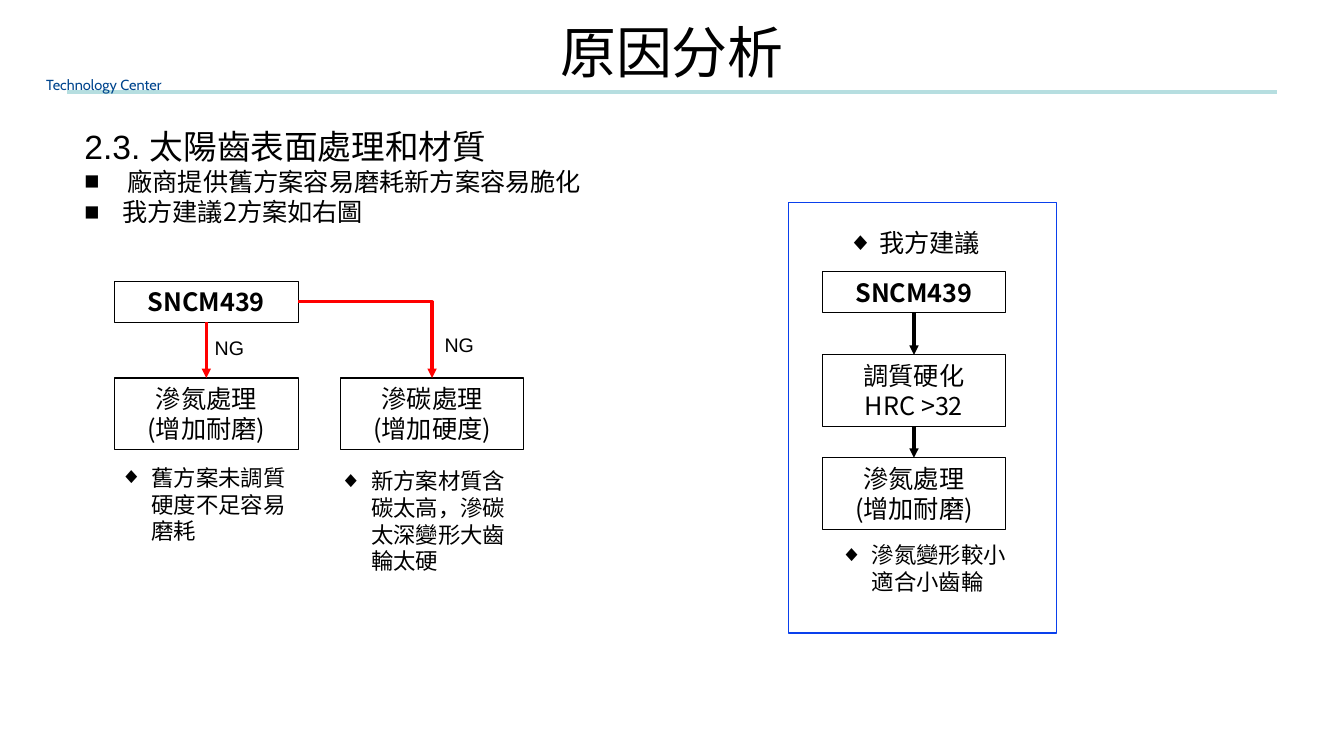
from lxml import etree
from pptx import Presentation
from pptx.dml.color import RGBColor
from pptx.enum.shapes import MSO_CONNECTOR, MSO_SHAPE
from pptx.enum.text import MSO_ANCHOR, PP_ALIGN
from pptx.oxml.ns import qn
from pptx.util import Pt

PX = 9525
BLACK = RGBColor(0x00, 0x00, 0x00)
RED = RGBColor(0xFF, 0x00, 0x00)
BLUE = RGBColor(0x0A, 0x40, 0xEC)
NAVY = RGBColor(0x00, 0x45, 0x8E)
TEAL = RGBColor(0xB6, 0xDE, 0xE0)
CJK = "Noto Sans CJK SC"
ARIAL = "Arial"
CENTER, LEFT = PP_ALIGN.CENTER, PP_ALIGN.LEFT
TOP, MIDDLE = MSO_ANCHOR.TOP, MSO_ANCHOR.MIDDLE
RECT = MSO_SHAPE.RECTANGLE
STRAIGHT, ELBOW = MSO_CONNECTOR.STRAIGHT, MSO_CONNECTOR.ELBOW
SITE_BOTTOM, SITE_RIGHT, SITE_TOP = 2, 3, 0
BOX_W, HEAD_H, STEP_H = 175, 39, 68


def px(*values):
    return [round(v * PX) for v in values]


def style(r, size, font=CJK, color=BLACK, bold=False):
    r.font.size = Pt(size)
    r.font.bold = bold
    r.font.color.rgb = color
    r.font.name = font
    etree.SubElement(r._r.get_or_add_rPr(), qn("a:ea")).set("typeface", font)


def set_bullet(p, char, indent):
    pPr = p._p.get_or_add_pPr()
    pPr.set("marL", str(indent * PX))
    pPr.set("indent", str(-indent * PX))
    etree.SubElement(pPr, qn("a:buFont")).set("typeface", ARIAL)
    etree.SubElement(pPr, qn("a:buChar")).set("char", char)


def write(tf, lines, size, font=CJK, color=BLACK, bold=False, align=LEFT, anchor=TOP):
    tf.word_wrap = True
    tf.vertical_anchor = anchor
    tf.text = "\n".join(lines)
    for p in tf.paragraphs:
        p.alignment = align
        for r in p.runs:
            style(r, size, font, color, bold)


def add_text(slide, box, lines, size, **options):
    tf = slide.shapes.add_textbox(*px(*box)).text_frame
    write(tf, lines, size, **options)
    return tf


def add_note(slide, box, text, size=16):
    tf = add_text(slide, box, [text], size)
    set_bullet(tf.paragraphs[0], "◆", 30)


def add_rect(slide, box, color, width):
    sp = slide.shapes.add_shape(RECT, *px(*box))
    sp.shadow.inherit = False
    sp.fill.background()
    sp.line.color.rgb = color
    sp.line.width = Pt(width)
    return sp


def add_step(slide, x, y, lines):
    head = len(lines) == 1
    sp = add_rect(slide, (x, y, BOX_W, HEAD_H if head else STEP_H), BLACK, 0.75)
    write(sp.text_frame, lines, 18, bold=head, align=CENTER, anchor=MIDDLE)
    return sp


def add_line(slide, kind, ends, color, width):
    cxn = slide.shapes.add_connector(kind, *px(*ends))
    cxn.line.color.rgb = color
    cxn.line.width = Pt(width)
    etree.SubElement(cxn._element.spPr, qn("a:effectLst"))
    return cxn


def add_arrow(slide, start, end, color, kind=STRAIGHT):
    cxn = add_line(slide, kind, (0, 0, 0, 0), color, 2.25)
    cxn.begin_connect(start, SITE_BOTTOM if kind == STRAIGHT else SITE_RIGHT)
    cxn.end_connect(end, SITE_TOP)
    if kind == ELBOW:
        cxn._element.spPr.find(qn("a:prstGeom")).set("prst", "bentConnector2")
    etree.SubElement(cxn.line._get_or_add_ln(), qn("a:tailEnd")).set("type", "triangle")


def header(slide, x, y, w, h):
    add_line(slide, STRAIGHT, (x, y + h - 2, x + w, y + h - 2), TEAL, 3)
    tf = add_text(slide, (x - 49, y + 57, 168, 29), ["Technology Center"], 18,
                  font="Cabin", color=NAVY, align=CENTER)
    tf.paragraphs[0].runs[0]._r.get_or_add_rPr().set("baseline", "30000")
    add_text(slide, (x, y, w, h), ["原因分析"], 40, align=CENTER, anchor=MIDDLE)


def summary(slide, x, y, w, h):
    tf = add_text(slide, (x, y, w, h),
                  ["2.3. ", "廠商提供舊方案容易磨耗新方案容易脆化", "我方建議2方案如右圖"], 18)
    heading, *points = tf.paragraphs
    heading.runs[0].font.size = Pt(24)
    heading.runs[0].font.name = ARIAL
    r = heading.add_run()
    r.text = "太陽齒表面處理和材質"
    style(r, 24)
    for p, indent in zip(points, (41, 36)):
        set_bullet(p, "■", indent)


def current_plans(slide, x, y):
    steel = add_step(slide, x, y, ["SNCM439"])
    nitriding = add_step(slide, x, y + 92, ["滲氮處理", "(增加耐磨)"])
    carburizing = add_step(slide, x + 215, y + 92, ["滲碳處理", "(增加硬度)"])
    add_arrow(slide, steel, nitriding, RED)
    add_arrow(slide, steel, carburizing, RED, ELBOW)
    for dx, dy in ((86, 47), (305, 44)):
        add_text(slide, (x + dx, y + dy, 57, 33), ["NG"], 14, font=ARIAL)
    add_note(slide, (x - 4, y + 169, 183, 87), "舊方案未調質硬度不足容易磨耗")
    add_note(slide, (x + 205, y + 172, 196, 113), "新方案材質含碳太高，滲碳太深變形大齒輪太硬")


def proposal(slide, x, y, w, h):
    add_rect(slide, (x, y, w, h), BLUE, 1)
    add_note(slide, (x + 47, y + 19, 208, 38), "我方建議", 18)
    steps = [add_step(slide, x + 32, y + dy, lines) for dy, lines in (
        (66, ["SNCM439"]),
        (145, ["調質硬化", "HRC >32"]),
        (243, ["滲氮處理", "(增加耐磨)"]))]
    for start, end in zip(steps, steps[1:]):
        add_arrow(slide, start, end, BLACK)
    add_note(slide, (x + 40, y + 318, 196, 61), "滲氮變形較小適合小齒輪")


def main():
    prs = Presentation()
    prs.slide_width, prs.slide_height = px(1280, 720)
    slide = prs.slides.add_slide(prs.slide_layouts[6])
    header(slide, 64, 8, 1152, 82)
    summary(slide, 71, 115, 530, 145)
    current_plans(slide, 109, 268)
    proposal(slide, 751, 193, 255, 410)
    prs.save("out.pptx")


if __name__ == "__main__":
    main()
